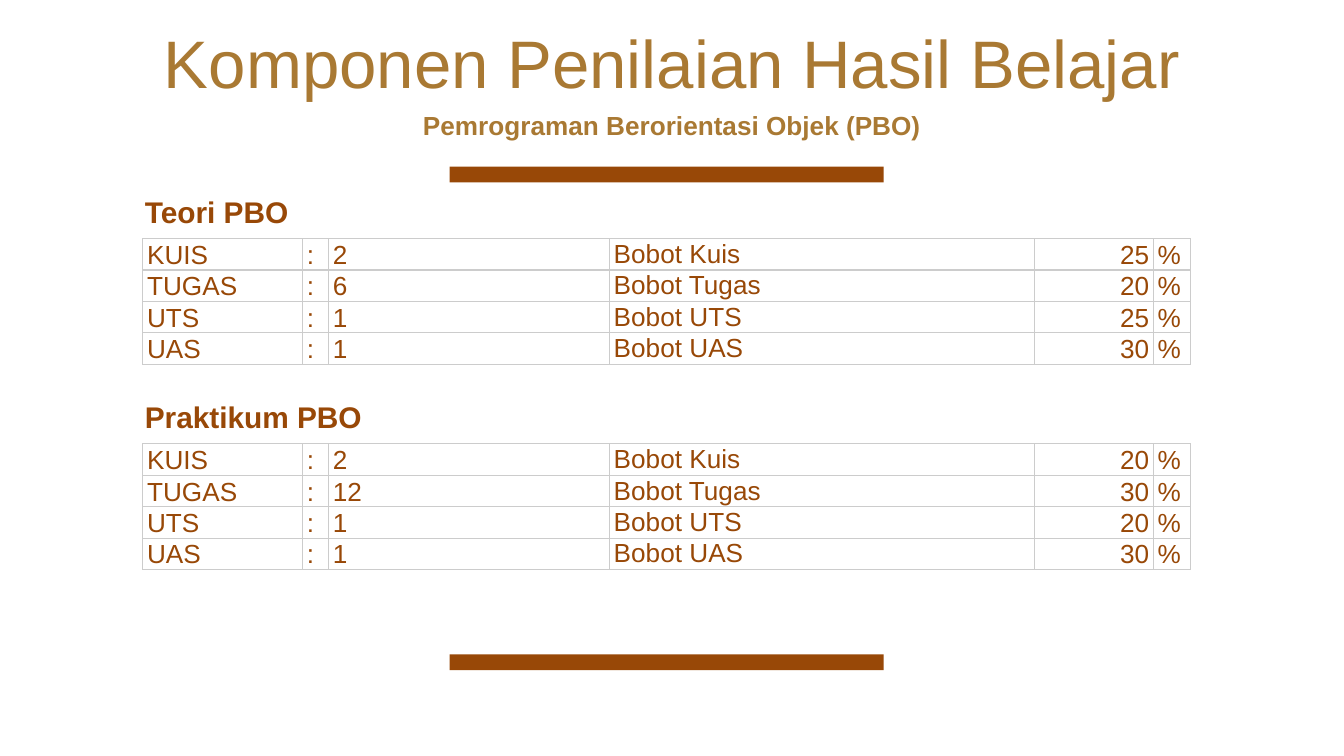
from lxml import etree
from pptx import Presentation
from pptx import util as u
from pptx.dml.color import RGBColor
from pptx.enum import shapes, text
from pptx.oxml import ns

COLORS = {"gold": "A97933", "brown": "984807", "grid": "CCCCCC"}
MIDDLE, BOTTOM = text.MSO_ANCHOR.MIDDLE, text.MSO_ANCHOR.BOTTOM
LEFT, CENTER, RIGHT = text.PP_ALIGN.LEFT, text.PP_ALIGN.CENTER, text.PP_ALIGN.RIGHT


def write(frame, words, size, color, align=LEFT, bold=False):
    paragraph = frame.paragraphs[0]
    paragraph.text = words
    paragraph.alignment = align
    paragraph.font.name = "Arial"
    paragraph.font.size = u.Pt(size)
    paragraph.font.bold = bold
    paragraph.font.color.rgb = RGBColor.from_string(COLORS[color])


def outline(cell):
    """Draw thin grid lines on all four sides of a cell, ahead of its fill."""
    properties = cell._tc.get_or_add_tcPr()
    for position, side in enumerate(("lnL", "lnR", "lnT", "lnB")):
        line = etree.Element(ns.qn(f"a:{side}"), w=str(u.Pt(0.75)))
        fill = etree.SubElement(line, ns.qn("a:solidFill"))
        etree.SubElement(fill, ns.qn("a:srgbClr"), val=COLORS["grid"])
        properties.insert(position, line)


deck = Presentation()
deck.slide_width, deck.slide_height = u.Cm(25.4), u.Cm(14.29)
slide = deck.slides.add_slide(deck.slide_layouts[6])

# Title and subtitle
for words, top, height, size, bold in (
    ("Komponen Penilaian Hasil Belajar", 0.36, 1.6, 36, False),
    ("Pemrograman Berorientasi Objek (PBO)", 1.96, 0.79, 14, True),
):
    headline = slide.shapes.add_textbox(0, u.Cm(top), deck.slide_width, u.Cm(height)).text_frame
    headline.word_wrap = True
    headline.vertical_anchor = MIDDLE
    write(headline, words, size, "gold", CENTER, bold)

# Bars above and below the grading tables
for top in (3.15, 12.37):
    bar = slide.shapes.add_shape(
        shapes.MSO_SHAPE.RECTANGLE, u.Cm(8.5), u.Cm(top), u.Cm(8.2), u.Cm(0.3))
    bar.shadow.inherit = False
    bar.fill.solid()
    bar.fill.fore_color.rgb = RGBColor.from_string(COLORS["brown"])
    bar.line.fill.background()

# Each course: (component, count, weight)
courses = {
    "Teori PBO": [("Kuis", 2, 25), ("Tugas", 6, 20), ("UTS", 1, 25), ("UAS", 1, 30)],
    "Praktikum PBO": [("Kuis", 2, 20), ("Tugas", 12, 30), ("UTS", 1, 20), ("UAS", 1, 30)],
}
widths = [3.02, 0.49, 5.31, 8.03, 2.25, 0.7]
aligns = [LEFT, LEFT, LEFT, LEFT, RIGHT, LEFT]
anchors = [BOTTOM, BOTTOM, BOTTOM, MIDDLE, BOTTOM, BOTTOM]
row_height, course_pitch = 0.59, 3.88

for index, (course, components) in enumerate(courses.items()):
    top = 3.53 + index * course_pitch
    heading = slide.shapes.add_textbox(u.Cm(2.49), u.Cm(top), u.Cm(6.76), u.Cm(0.94)).text_frame
    heading.word_wrap = True
    write(heading, course, 16, "brown", bold=True)

    grades = slide.shapes.add_table(
        len(components), len(widths), u.Cm(2.7), u.Cm(top + 0.98),
        u.Cm(sum(widths)), u.Cm(row_height * len(components))).table
    grades.first_row = grades.horz_banding = False
    for column, width in zip(grades.columns, widths):
        column.width = u.Cm(width)
    for row, (component, count, weight) in zip(grades.rows, components):
        row.height = u.Cm(row_height)
        values = [component.upper(), ":", count, f"Bobot {component}", weight, "%"]
        for cell, value, align, anchor in zip(row.cells, values, aligns, anchors):
            cell.margin_left = cell.margin_right = u.Cm(0.08)
            cell.margin_top = cell.margin_bottom = 0
            cell.vertical_anchor = anchor
            cell.fill.background()
            outline(cell)
            write(cell.text_frame, str(value), 14, "brown", align)

deck.save("out.pptx")
